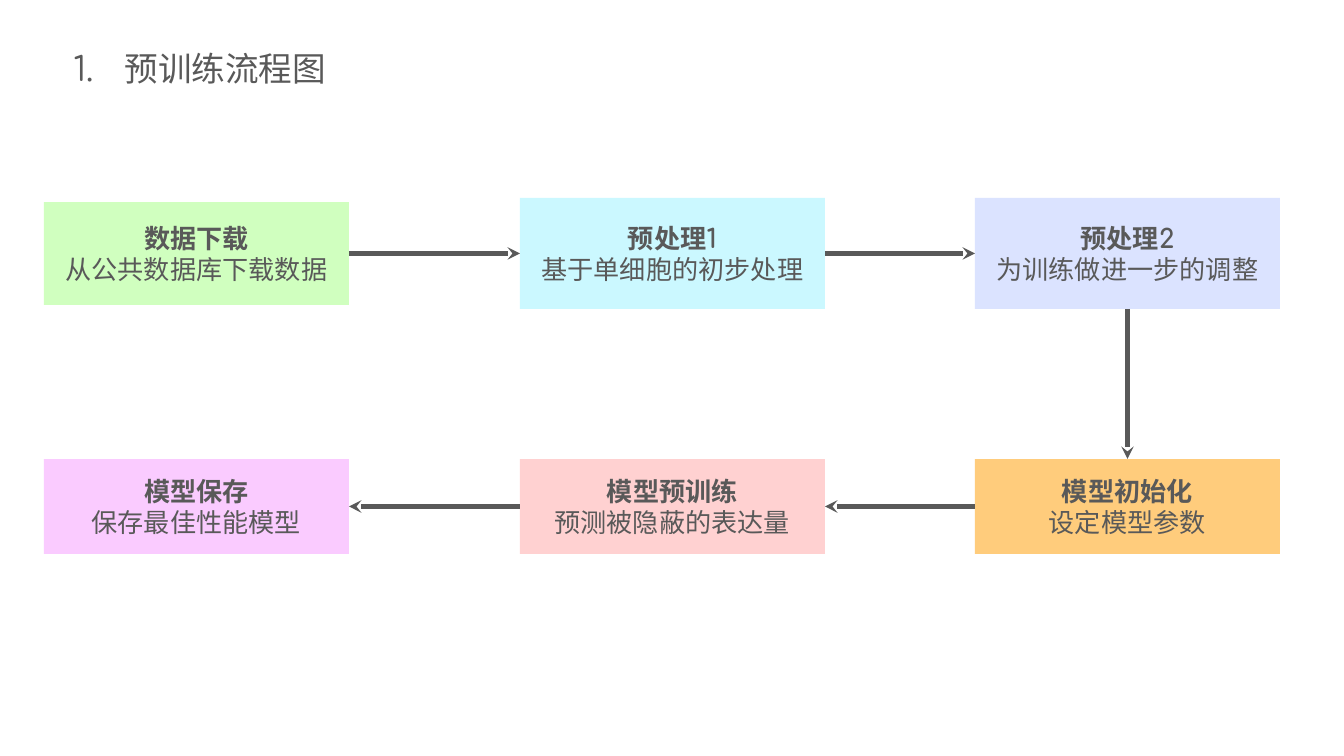
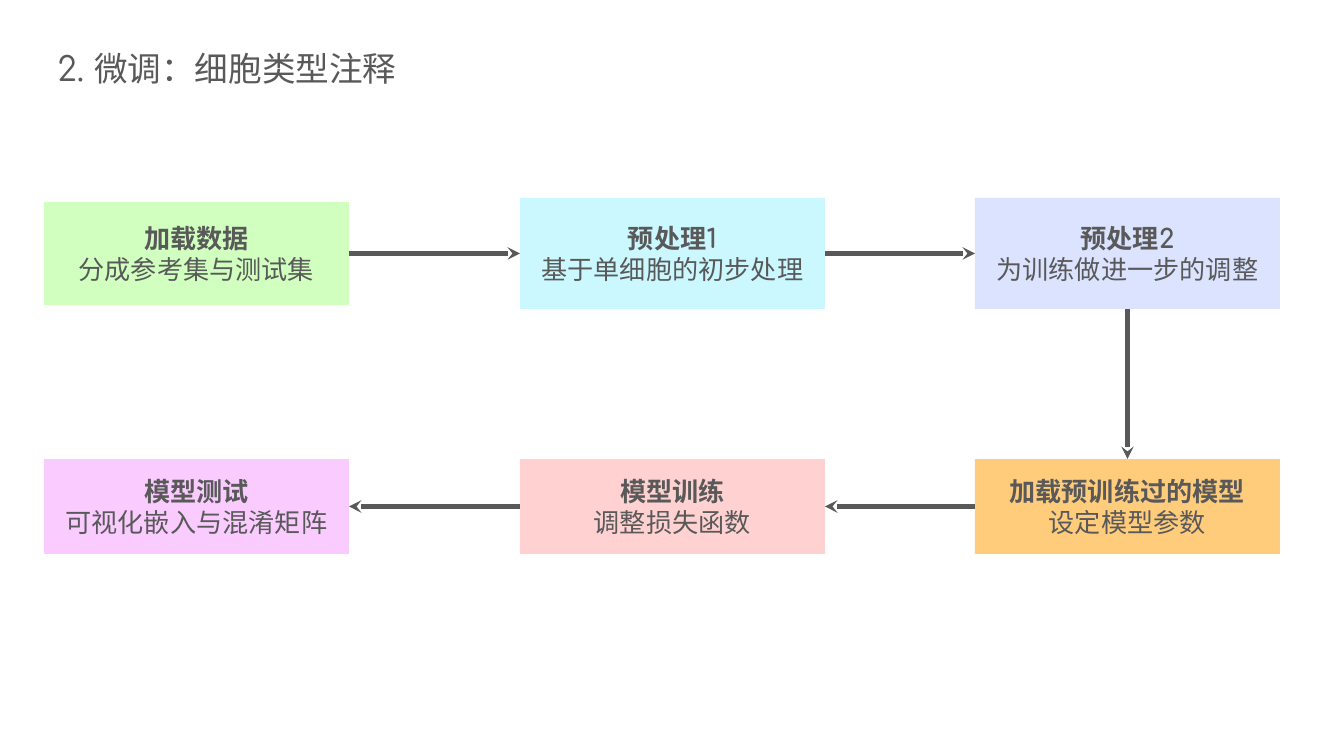
import lxml.etree
import pptx
import pptx.dml.color
import pptx.enum.shapes
import pptx.enum.text
import pptx.oxml.ns
import pptx.util

# Shared style, with lengths in px
PX = 914400 / 134.4
FONT = "Comfortaa"
COLORS = {
    "text": "595959",
    "green": "D0FFBF",
    "cyan": "CBF8FF",
    "blue": "DBE3FF",
    "orange": "FFCC7C",
    "red": "FFD1D1",
    "violet": "FACBFF",
}
TITLE_ONLY = 5
TOP, LEFT, BOTTOM, RIGHT = range(4)  # connection sites of a rectangle

# Boxes in flow order: left, top, height, color
BOX_WIDTH = 305
BOXES = [
    (44, 202, 103, "green"),
    (520, 198, 111, "cyan"),
    (975, 198, 111, "blue"),
    (975, 459, 95, "orange"),
    (520, 459, 95, "red"),
    (44, 459, 95, "violet"),
]
# Sites where each arrow leaves a box and enters the next one
ARROWS = [(RIGHT, LEFT)] * 2 + [(BOTTOM, TOP)] + [(LEFT, RIGHT)] * 2


def px(length):
    return pptx.util.Emu(round(length * PX))


def color(name):
    return pptx.dml.color.RGBColor.from_string(COLORS[name])


def add_element(parent, tag, **attributes):
    return lxml.etree.SubElement(parent, pptx.oxml.ns.qn(tag), attributes)


class FlowDeck:
    def __init__(self):
        self.presentation = pptx.Presentation()
        self.presentation.slide_width = px(1344)
        self.presentation.slide_height = px(756)
        self.slide = None

    def add_slide(self):
        layout = self.presentation.slide_layouts[TITLE_ONLY]
        self.slide = self.presentation.slides.add_slide(layout)

    def format_frame(self, frame, anchor):
        frame.word_wrap = True
        frame.auto_size = pptx.enum.text.MSO_AUTO_SIZE.NONE
        frame.vertical_anchor = anchor
        frame.margin_left = frame.margin_right = pptx.util.Inches(0.1)
        frame.margin_top = frame.margin_bottom = pptx.util.Inches(0.1)

    def format_paragraph(self, paragraph, size, alignment, bold=False):
        paragraph.alignment = alignment
        font = paragraph.font
        font.name = FONT
        font.size = pptx.util.Pt(size)
        font.bold = bold
        font.color.rgb = color("text")
        # East Asian text uses the same typeface
        properties = paragraph._p.pPr.find(pptx.oxml.ns.qn("a:defRPr"))
        add_element(properties, "a:ea", typeface=FONT)

    def number(self, paragraph):
        properties = paragraph._p.get_or_add_pPr()
        properties.set("marL", str(px(67)))
        properties.set("indent", str(px(-51)))
        bullet_color = add_element(properties, "a:buClr")
        add_element(bullet_color, "a:srgbClr", val=COLORS["text"])
        add_element(properties, "a:buFont", typeface=FONT)
        add_element(properties, "a:buAutoNum", type="arabicPeriod")

    def title(self, text, numbered):
        shape = self.slide.shapes.title
        shape.left, shape.top = px(44), px(34)
        shape.width, shape.height = px(477), px(103)
        self.format_frame(shape.text_frame, pptx.enum.text.MSO_ANCHOR.TOP)
        paragraph = shape.text_frame.paragraphs[0]
        paragraph.text = text
        if numbered:
            self.number(paragraph)
        self.format_paragraph(paragraph, 18, pptx.enum.text.PP_ALIGN.LEFT)

    def box(self, left, top, height, fill, heading, detail):
        shape = self.slide.shapes.add_shape(
            pptx.enum.shapes.MSO_SHAPE.RECTANGLE,
            px(left), px(top), px(BOX_WIDTH), px(height))
        shape.shadow.inherit = False
        shape.fill.solid()
        shape.fill.fore_color.rgb = color(fill)
        shape.line.fill.background()
        frame = shape.text_frame
        self.format_frame(frame, pptx.enum.text.MSO_ANCHOR.MIDDLE)
        frame.text = f"{heading}\n{detail}"
        for paragraph, bold in zip(frame.paragraphs, (True, False)):
            self.format_paragraph(
                paragraph, 14, pptx.enum.text.PP_ALIGN.CENTER, bold)
        return shape

    def arrow(self, start, start_site, end, end_site):
        connector = self.slide.shapes.add_connector(
            pptx.enum.shapes.MSO_CONNECTOR.STRAIGHT, 0, 0, 0, 0)
        connector.begin_connect(start, start_site)
        connector.end_connect(end, end_site)
        connector.line.color.rgb = color("text")
        connector.line.width = pptx.util.Pt(2.25)
        properties = connector._element.spPr
        line = properties.find(pptx.oxml.ns.qn("a:ln"))
        add_element(line, "a:tailEnd", type="stealth")
        add_element(properties, "a:effectLst")

    def flow(self, steps):
        shapes = [self.box(*box, *step) for box, step in zip(BOXES, steps)]
        for start, end, sites in zip(shapes, shapes[1:], ARROWS):
            self.arrow(start, sites[0], end, sites[1])


def main():
    deck = FlowDeck()
    preprocessing = [
        ("预处理1", "基于单细胞的初步处理"),
        ("预处理2", "为训练做进一步的调整"),
    ]

    # Pre-training
    deck.add_slide()
    deck.title("预训练流程图", numbered=True)
    deck.flow([
        ("数据下载", "从公共数据库下载数据"),
        *preprocessing,
        ("模型初始化", "设定模型参数"),
        ("模型预训练", "预测被隐蔽的表达量"),
        ("模型保存", "保存最佳性能模型"),
    ])

    # Fine-tuning
    deck.add_slide()
    deck.title("2. 微调：细胞类型注释", numbered=False)
    deck.flow([
        ("加载数据", "分成参考集与测试集"),
        *preprocessing,
        ("加载预训练过的模型", "设定模型参数"),
        ("模型训练", "调整损失函数"),
        ("模型测试", "可视化嵌入与混淆矩阵"),
    ])

    deck.presentation.save("out.pptx")


if __name__ == "__main__":
    main()
